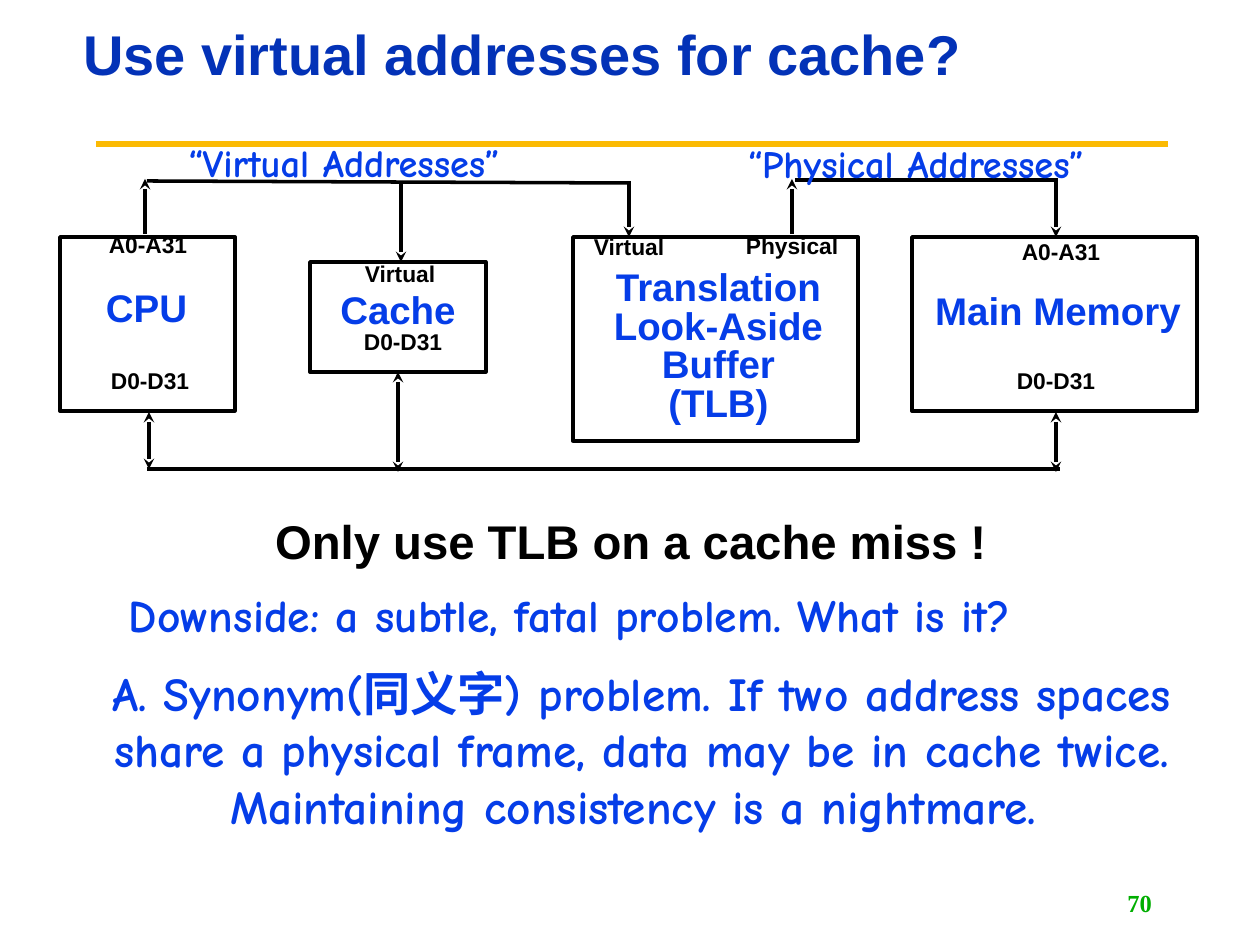
from dataclasses import dataclass

from lxml import etree
from pptx import Presentation
from pptx.dml.color import RGBColor
from pptx.enum.shapes import MSO_CONNECTOR, MSO_SHAPE
from pptx.enum.text import MSO_ANCHOR, MSO_AUTO_SIZE, PP_ALIGN
from pptx.oxml.ns import qn
from pptx.util import Pt

LEFT, CENTER, RIGHT = PP_ALIGN.LEFT, PP_ALIGN.CENTER, PP_ALIGN.RIGHT
TOP, MIDDLE = MSO_ANCHOR.TOP, MSO_ANCHOR.MIDDLE
FIXED = MSO_AUTO_SIZE.NONE
RECTANGLE = MSO_SHAPE.RECTANGLE
STRAIGHT = MSO_CONNECTOR.STRAIGHT
TITLE_ONLY = 5
EMU_PER_PX = 914400 / 126


@dataclass(frozen=True)
class Theme:
    sans: str = "Arial"
    hand: str = "Comic Neue"
    serif: str = "Times New Roman"
    ink: str = "000000"
    blue: str = "053DE8"
    navy: str = "0332B7"
    gold: str = "FBBA03"
    green: str = "00AE00"
    title: int = 32
    statement: int = 27
    question: int = 26
    name: int = 22
    number: int = 14
    pin: int = 13
    wire: float = 2
    rule: float = 3.75


def px(length):
    return round(length * EMU_PER_PX)


def write(frame, text, *, font, size, color, align=CENTER, anchor=TOP,
          spacing=None, wrap=True, insets=(0, 0, 0, 0)):
    """Fill a text frame, one paragraph for each line of text."""
    frame.auto_size = FIXED
    frame.word_wrap = wrap
    frame.vertical_anchor = anchor
    (frame.margin_left, frame.margin_top,
     frame.margin_right, frame.margin_bottom) = map(px, insets)
    frame.text = text
    for paragraph in frame.paragraphs:
        paragraph.alignment = align
        if spacing is not None:
            paragraph.line_spacing = spacing
        for run in paragraph.runs:
            run.font.name = font
            run.font.size = Pt(size)
            run.font.bold = True
            run.font.color.rgb = RGBColor.from_string(color)


class Board:
    def __init__(self, slide, theme):
        self.slide, self.theme = slide, theme

    def title(self, text, left, top, width, height, **style):
        holder = self.slide.shapes.title
        holder.left, holder.top = px(left), px(top)
        holder.width, holder.height = px(width), px(height)
        write(holder.text_frame, text, **style)

    def text(self, text, left, top, width, height, **style):
        box = self.slide.shapes.add_textbox(*map(px, (left, top, width, height)))
        write(box.text_frame, text, **style)

    def pin(self, text, left, top, width):
        self.text(text, left, top, width, 13, font=self.theme.sans,
                  size=self.theme.pin, color=self.theme.ink,
                  spacing=Pt(7), wrap=False)

    def name(self, text, left, top, width, height, spacing):
        self.text(text, left, top, width, height, font=self.theme.sans,
                  size=self.theme.name, color=self.theme.blue,
                  spacing=Pt(spacing), wrap=False)

    def unit(self, left, top, width, height):
        box = self.slide.shapes.add_shape(
            RECTANGLE, *map(px, (left, top, width, height)))
        box.shadow.inherit = False
        box.fill.background()
        box.line.color.rgb = RGBColor.from_string(self.theme.ink)
        box.line.width = Pt(self.theme.wire)

    def line(self, x1, y1, x2, y2, ends=(), color=None, weight=None):
        wire = self.slide.shapes.add_connector(
            STRAIGHT, *map(px, (x1, y1, x2, y2)))
        wire.line.color.rgb = RGBColor.from_string(color or self.theme.ink)
        wire.line.width = Pt(weight or self.theme.wire)
        properties = wire.line._get_or_add_ln()
        for end in ends:
            etree.SubElement(properties, qn(f"a:{end}"), type="stealth")
        etree.SubElement(wire._element.spPr, qn("a:effectLst"))


def main():
    deck = Presentation()
    deck.slide_width, deck.slide_height = px(1260), px(945)
    theme = Theme()
    board = Board(deck.slides.add_slide(deck.slide_layouts[TITLE_ONLY]), theme)

    # Title, rule and page number
    board.line(96, 144, 1168, 144, color=theme.gold, weight=theme.rule)
    board.title("Use virtual addresses for cache?", 67, 1, 1293, 112,
                font=theme.sans, size=theme.title, color=theme.navy,
                align=LEFT, anchor=MIDDLE, spacing=0.9, insets=(16, 6, 13, 6))
    board.text("70", 903, 883, 262, 40, font=theme.serif, size=theme.number,
               color=theme.green, align=RIGHT, anchor=MIDDLE,
               insets=(13, 6, 13, 6))

    # Units: processor, cache, translation buffer and memory
    for frame in ((60, 237, 175, 174), (310, 262, 176, 110),
                  (573, 237, 285, 204), (912, 237, 285, 174)):
        board.unit(*frame)
    board.name("CPU", 106, 300, 81, 30, 17)
    board.name("Cache", 340, 294, 116, 39, 22)
    board.name("Translation\nLook-Aside\nBuffer\n(TLB)", 614, 271, 209, 154, 22)
    board.name("Main Memory", 935, 300, 246, 33, 19)

    # Pins of each unit
    for pin in (("A0-A31", 109, 246, 78), ("D0-D31", 111, 382, 78),
                ("Virtual", 365, 275, 70), ("D0-D31", 364, 343, 78),
                ("Virtual", 594, 248, 70), ("Physical", 746, 247, 92),
                ("A0-A31", 1022, 253, 78), ("D0-D31", 1017, 382, 78)):
        board.pin(*pin)

    # Address and data buses
    for bus in ((147, 181, 631, 183), (795, 180, 1058, 180),
                (147, 469, 1060, 469)):
        board.line(*bus)

    # Address arrows: out of a unit, then into a unit
    for x in (145, 792):
        board.line(x, 179, x, 234, ends=("headEnd",))
    for x, bottom in ((401, 262), (629, 237), (1056, 237)):
        board.line(x, 181, x, bottom, ends=("tailEnd",))

    # Two-way data arrows
    for x, top, bottom in ((149, 412, 469), (398, 372, 472), (1056, 412, 472)):
        board.line(x, top, x, bottom, ends=("headEnd", "tailEnd"))

    # Bus names
    for bus_name, left, top in (("“Virtual Addresses”", 155, 139),
                                ("“Physical Addresses”", 727, 140)):
        board.text(bus_name, left, top, 378, 92, font=theme.hand,
                   size=theme.name, color=theme.blue)

    # Statement, question and answer
    board.text("Only use TLB on a cache miss !", 139, 512, 984, 57,
               font=theme.sans, size=theme.statement, color=theme.ink)
    board.text("Downside: a subtle, fatal problem. What is it?",
               129, 587, 1005, 110, font=theme.hand, size=theme.question,
               color=theme.blue, align=LEFT)
    board.text("A. Synonym(同义字) problem. If two address spaces share a "
               "physical frame, data may be in cache twice. "
               "Maintaining consistency is a nightmare. ",
               60, 664, 1163, 227, font=theme.hand, size=theme.statement,
               color=theme.blue)

    deck.save("out.pptx")


if __name__ == "__main__":
    main()
